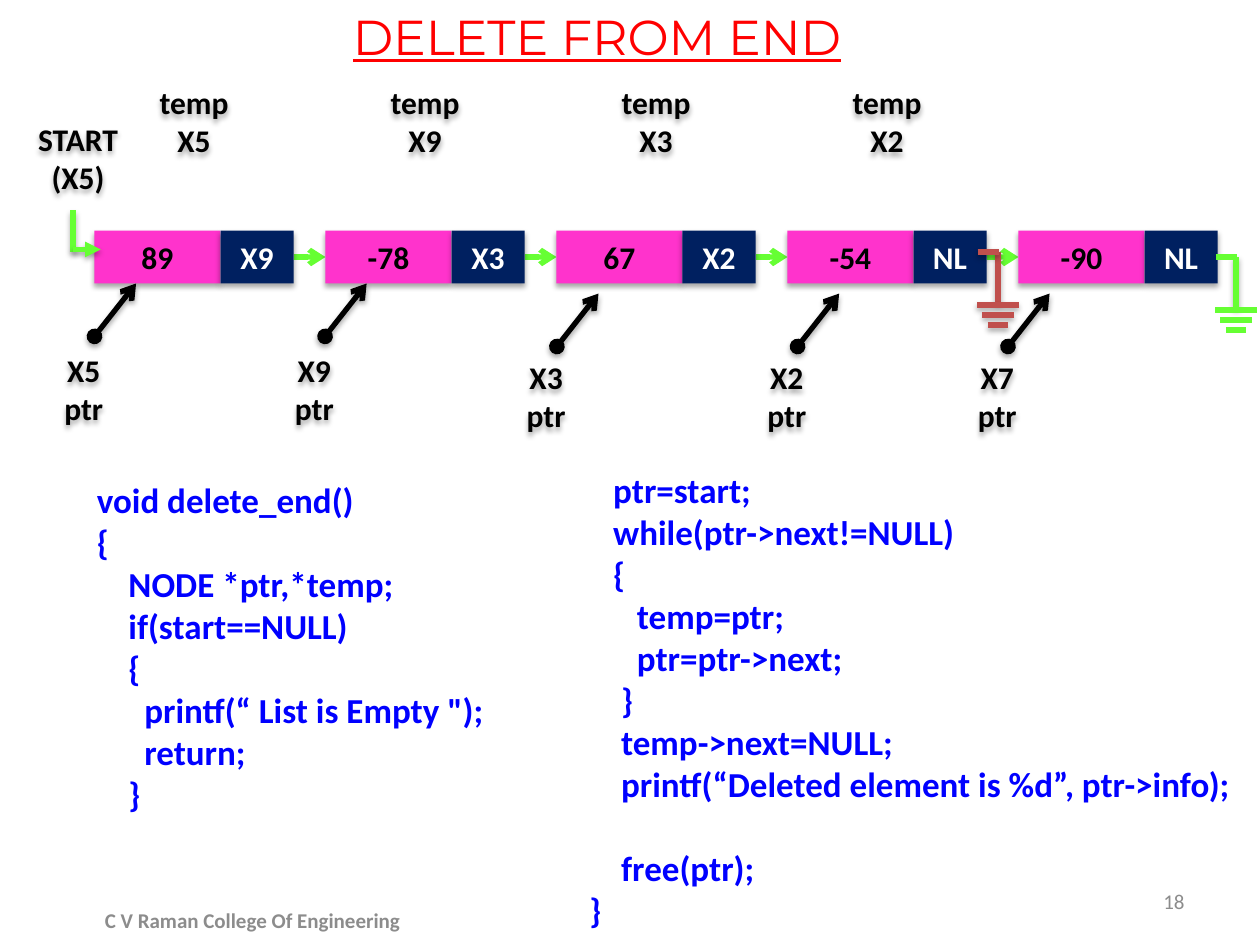
from pptx import Presentation
from pptx.dml.color import RGBColor
from pptx.enum.shapes import MSO_CONNECTOR as LINK, MSO_SHAPE as KIND
from pptx.enum.text import MSO_ANCHOR as ANCHOR, PP_ALIGN as ALIGN
from pptx.oxml import parse_xml
from pptx.oxml.ns import nsdecls, qn
from pptx.util import Inches, Pt

rgb = RGBColor.from_string
GREEN, RED, BLACK, WHITE = "66FF33", "C0504D", "000000", "FFFFFF"
PINK, NAVY, BLUE, GREY = "FF33CC", "002060", "0000FF", "8C8C8C"
SHADE = (
    f'<a:effectLst {nsdecls("a")}><a:outerShdw blurRad="40000" dist="23000" '
    'dir="5400000" rotWithShape="0"><a:srgbClr val="000000">'
    '<a:alpha val="35000"/></a:srgbClr></a:outerShdw></a:effectLst>'
)
FLAT = f'<a:effectLst {nsdecls("a")}/>'

deck = Presentation()
deck.slide_width, deck.slide_height = Inches(10), Inches(7.5)
slide = deck.slides.add_slide(deck.slide_layouts[5])
shapes = slide.shapes


def box(kind, x, y, w, h, text, ink=BLACK, fill=None):
    """Add a shadowed shape with bold centred text."""
    shape = shapes.add_shape(kind, Inches(x), Inches(y), Inches(w), Inches(h))
    if fill:
        shape.fill.solid()
        shape.fill.fore_color.rgb = rgb(fill)
    else:
        shape.fill.background()
    shape.line.fill.background()
    shape.element.spPr.append(parse_xml(SHADE))
    frame = shape.text_frame
    frame.text = text
    frame.word_wrap = False
    frame.vertical_anchor = ANCHOR.MIDDLE
    for para in frame.paragraphs:
        para.alignment = ALIGN.CENTER
        para.font.color.rgb = rgb(ink)
        for key, val in {"name": "Calibri", "size": Pt(18), "bold": True}.items():
            setattr(para.font, key, val)


def line(x1, y1, x2, y2, ink, head=None, tail=None, shade=True):
    """Add a 3 pt line with optional end marks."""
    link = shapes.add_connector(
        LINK.STRAIGHT, Inches(x1), Inches(y1), Inches(x2), Inches(y2))
    link.line.color.rgb = rgb(ink)
    link.line.width = Pt(3)
    props = link.element.spPr
    for tag, mark in (("headEnd", head), ("tailEnd", tail)):
        if mark:
            props.find(qn("a:ln")).append(
                parse_xml(f'<a:{tag} {nsdecls("a")} type="{mark}"/>'))
    props.append(parse_xml(SHADE if shade else FLAT))


# Title
title = shapes.title
for key, val in {"left": 2.7, "top": 0, "width": 4.34, "height": 0.57}.items():
    setattr(title, key, Inches(val))
frame = title.text_frame
frame.text = "DELETE FROM END"
frame.word_wrap = False
frame.vertical_anchor = ANCHOR.TOP
head = frame.paragraphs[0]
head.alignment = ALIGN.LEFT
head.font.color.rgb = rgb("FF0000")
for key, val in {"name": "Montserrat", "size": Pt(28), "underline": True}.items():
    setattr(head.font, key, val)

# Code columns and footer
left = """void delete_end()
{
    NODE *ptr,*temp;
    if(start==NULL)
    {
      printf(“ List is Empty ");
      return;
    }"""
right = """   ptr=start;
   while(ptr->next!=NULL)
   {
      temp=ptr;
      ptr=ptr->next;
    }
    temp->next=NULL;
    printf(“Deleted element is %d”, ptr->info);
    free(ptr);
}"""
TOP, MID = ANCHOR.TOP, ANCHOR.MIDDLE
for x, y, w, h, text, size, ink, bold, align, anchor in (
    (0.67, 3.75, 4.25, 2.79, left, 20, BLUE, True, ALIGN.LEFT, TOP),
    (4.58, 3.67, 5.42, 3.47, right, 20, BLUE, True, ALIGN.LEFT, TOP),
    (7.17, 6.95, 2.33, 0.4, "18", 12, GREY, False, ALIGN.RIGHT, MID),
    (0.67, 7.1, 2.67, 0.4, "C V Raman College Of Engineering", 12, GREY, True,
     ALIGN.CENTER, MID),
):
    area = shapes.add_textbox(Inches(x), Inches(y), Inches(w), Inches(h))
    frame = area.text_frame
    frame.text = text
    frame.word_wrap = True
    frame.vertical_anchor = anchor
    for para in frame.paragraphs:
        para.alignment = align
        para.font.color.rgb = rgb(ink)
        if "free" in para.text:
            para.space_before = Pt(24)
        for key, val in {"name": "Calibri", "size": Pt(size), "bold": bold}.items():
            setattr(para.font, key, val)

# Links between nodes
STEP, FIRST = 11 / 6, 0.75
for i in range(4):
    end = FIRST + STEP * (i + 1)
    line(end - 0.25, 2.04, end, 2.04, GREEN, tail="arrow", shade=False)

# Nodes with temp labels above
nodes = [("89", "X9"), ("-78", "X3"), ("67", "X2"), ("-54", "NL"), ("-90", "NL")]
temps = ["X5", "X9", "X3", "X2"]
for i, (info, link) in enumerate(nodes):
    x = FIRST + STEP * i
    box(KIND.RECTANGLE, x, 1.83, 1, 0.42, info, fill=PINK)
    box(KIND.RECTANGLE, x + 1, 1.83, 0.58, 0.42, link, WHITE, NAVY)
    if i < len(temps):
        box(KIND.OVAL, x + 0.25, 0.67, 1.08, 0.58, f"temp\n{temps[i]}")

# Start pointer
box(KIND.DECAGON, 0.08, 0.92, 1.08, 0.67, "START\n(X5)")
line(0.58, 1.67, 0.58, 2, GREEN)
line(0.58, 1.98, 0.8, 1.98, GREEN, tail="triangle")

# Ground signs for the null links
for x, y, ink, shade in ((9.81, 2.04, GREEN, False), (7.92, 2, RED, True)):
    line(x, y, x, y + 0.41, ink)
    line(x - 0.16, y, x + 0.01, y, ink, shade=shade)
    for drop, half in ((0.42, 0.165), (0.5, 0.125), (0.58, 0.08)):
        line(x - half, y + drop, x + half, y + drop, ink, shade=shade)

# Pointers below the nodes
for x, y, low, name in (
    (0.75, 2.67, 2.75, "X5"), (2.58, 2.67, 2.75, "X9"), (4.42, 2.75, 2.81, "X3"),
    (6.33, 2.75, 2.81, "X2"), (8, 2.75, 2.81, "X7"),
):
    line(x, y, x + 0.33, y - 0.42, BLACK, "oval", "arrow")
    box(KIND.OVAL, x - 0.67, low, 1.17, 0.67, f"{name}\nptr")

deck.save("out.pptx")
